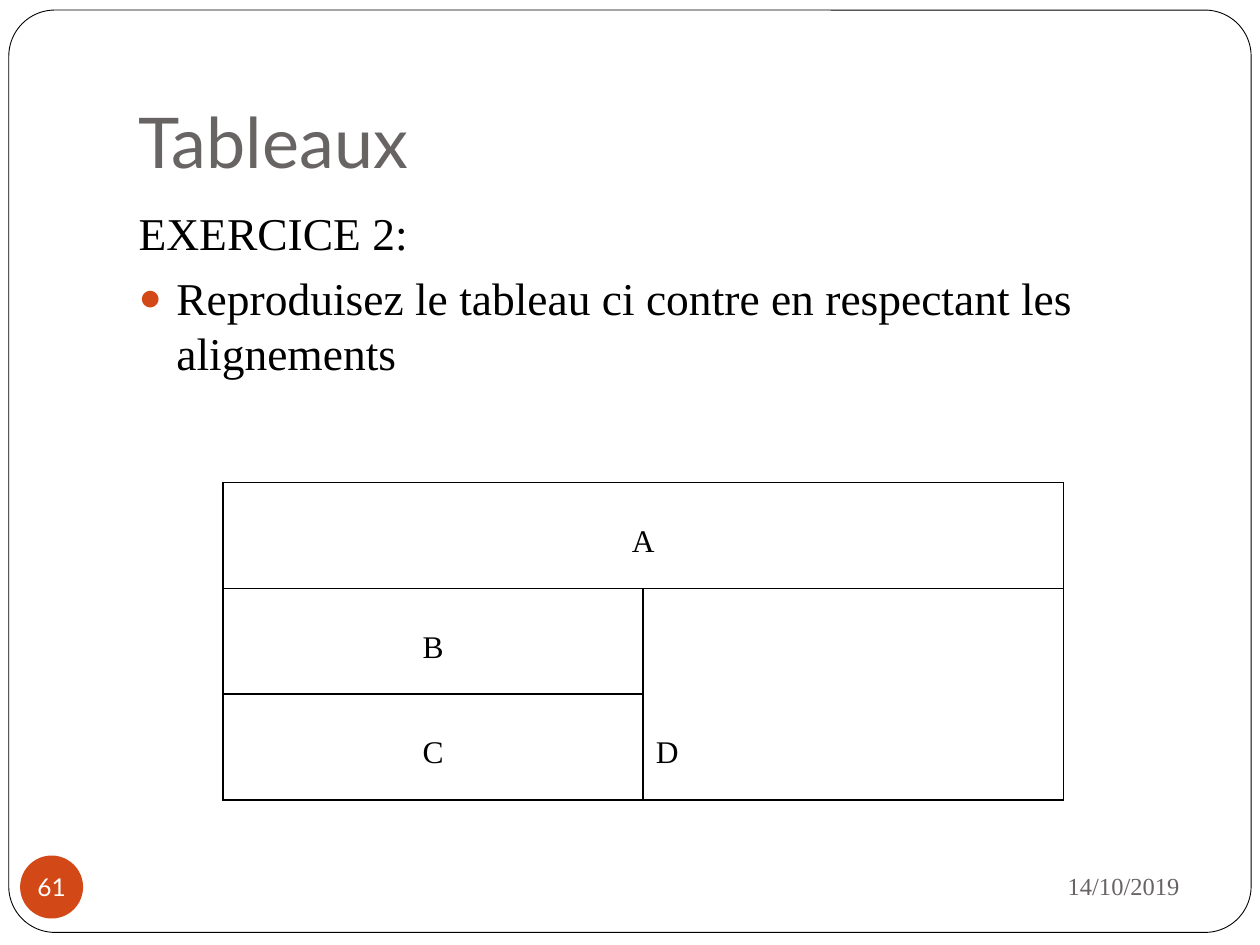
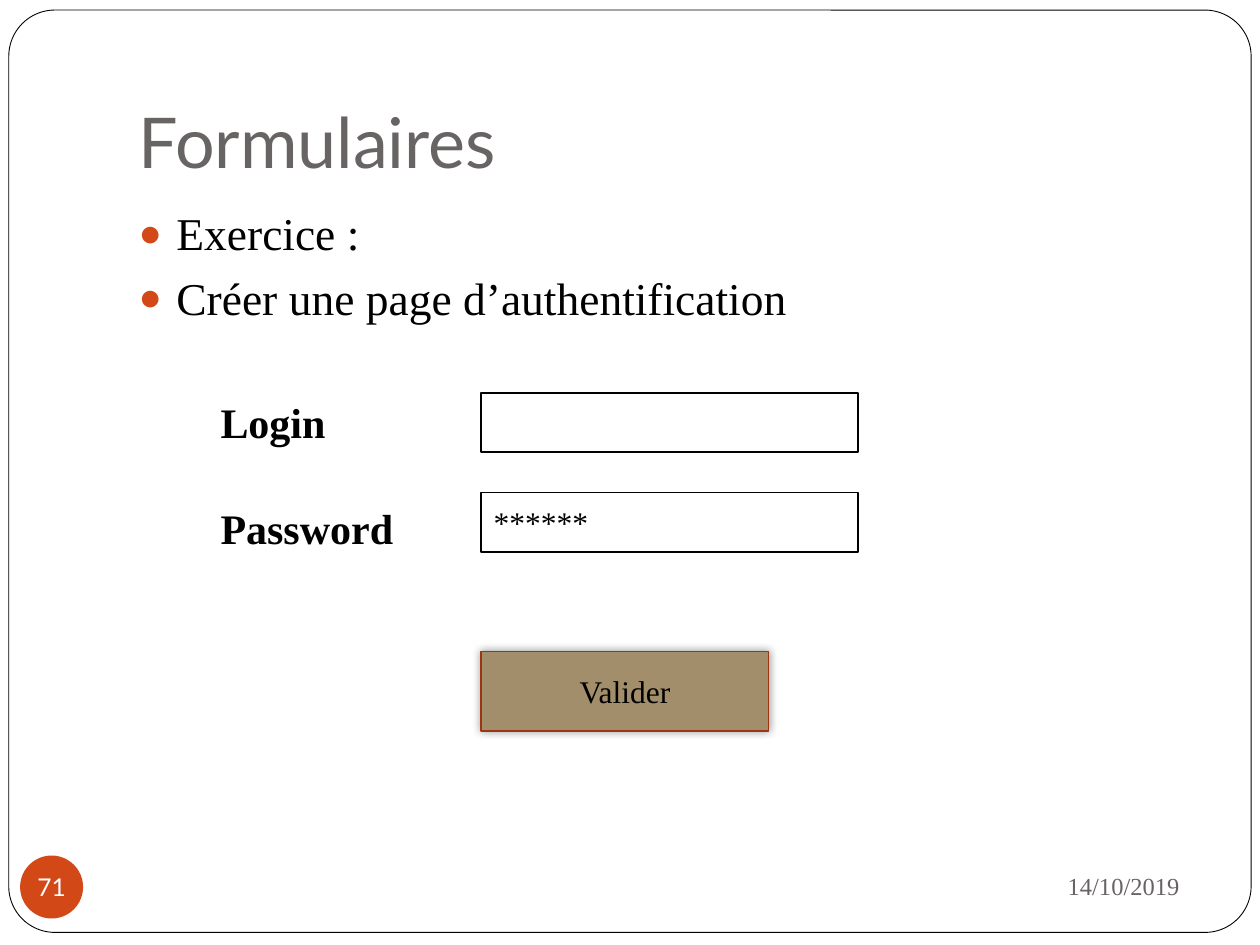
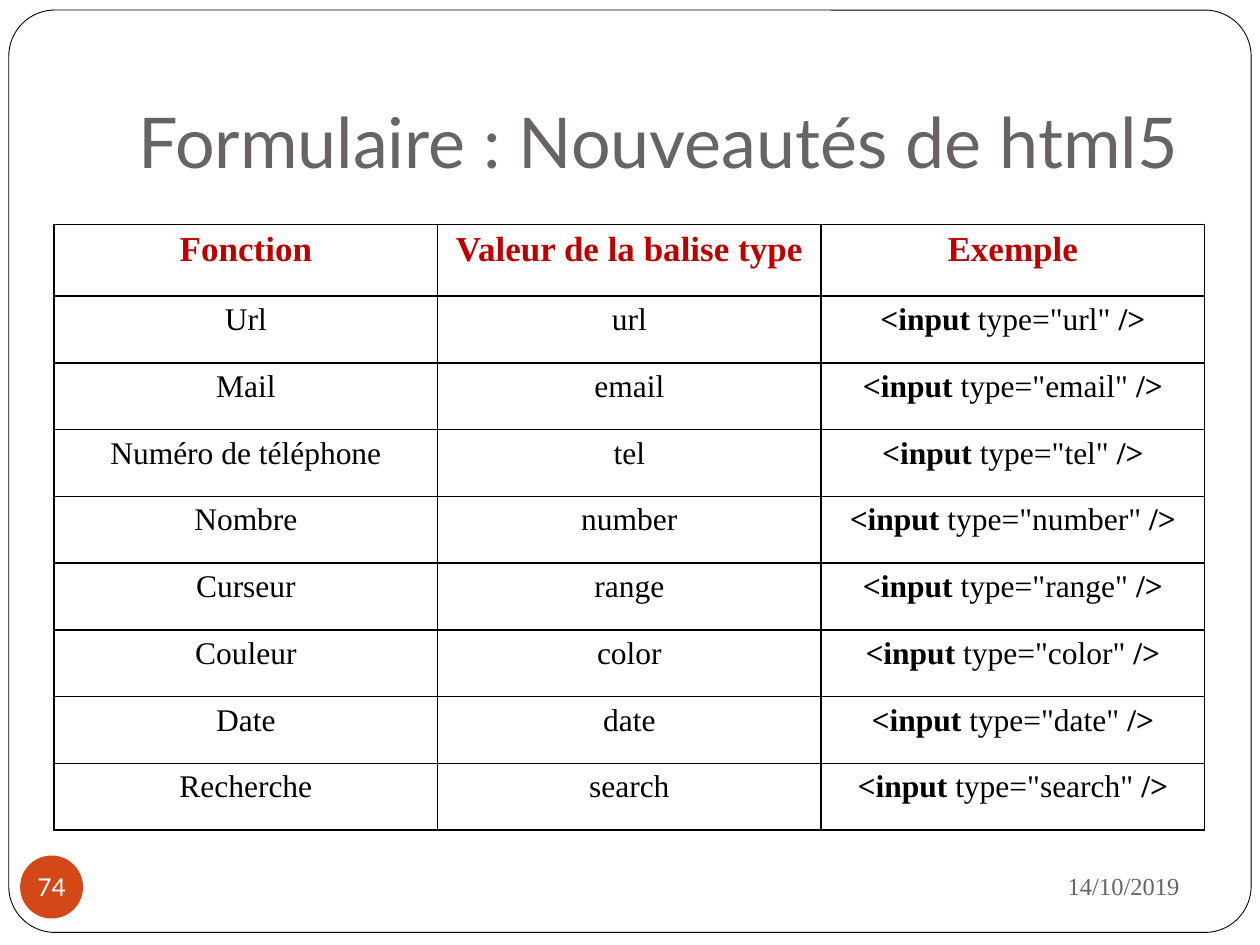
from dataclasses import dataclass

from lxml import etree
from pptx import Presentation
from pptx.dml.color import RGBColor
from pptx.enum.shapes import MSO_SHAPE
from pptx.enum.text import MSO_ANCHOR, MSO_AUTO_SIZE, PP_ALIGN
from pptx.oxml.ns import qn
from pptx.util import Inches, Pt

LEFT, CENTER, RIGHT = PP_ALIGN.LEFT, PP_ALIGN.CENTER, PP_ALIGN.RIGHT
TOP, MIDDLE, BOTTOM = MSO_ANCHOR.TOP, MSO_ANCHOR.MIDDLE, MSO_ANCHOR.BOTTOM
NO_AUTOFIT = MSO_AUTO_SIZE.NONE
RECTANGLE, ROUNDED, OVAL = MSO_SHAPE.RECTANGLE, MSO_SHAPE.ROUNDED_RECTANGLE, MSO_SHAPE.OVAL

HEADING_FONT, TEXT_FONT = "Lato", "Times New Roman"
BLACK, WHITE, GREY = "000000", "FFFFFF", "696464"
ORANGE, RUST, TAN, RED = "D34817", "9C3511", "A28E6A", "C00000"
DATE = "14/10/2019"
TITLE_AND_BODY, TITLE_ONLY = 1, 5
CELL_MARGIN, CELL_LINE = 0.05, 0.28


@dataclass
class Box:
    left: float
    top: float
    width: float
    height: float

    def emu(self) -> tuple:
        return tuple(Inches(v) for v in (self.left, self.top, self.width, self.height))


@dataclass
class BodyLine:
    text: str
    bullet: bool = True
    level: int = 0
    size: float = 26
    bold: bool = False
    before: float = 5.8
    margin: float = 0.3
    hanging: float = 0.3


@dataclass
class FormBox:
    place: Box
    text: str = ""
    fill: str | None = None
    line: str = BLACK
    align: int = LEFT


@dataclass
class MergedCell:
    text: str
    row: int
    column: int
    last_row: int
    last_column: int
    align: int = CENTER
    lines_above: int = 1


def colour(value: str) -> RGBColor:
    return RGBColor.from_string(value)


def add_text(paragraph, text: str, *, size: float = 18, font: str = TEXT_FONT,
             color: str = BLACK, bold: bool = False, align: int = LEFT) -> None:
    paragraph.alignment = align
    run = paragraph.add_run()
    run.text = text
    run.font.size = Pt(size)
    run.font.name = font
    run.font.bold = bold
    run.font.color.rgb = colour(color)


def add_xml(parent, tag: str, **attributes):
    return etree.SubElement(parent, qn(tag), {k: str(v) for k, v in attributes.items()})


def add_box(slide, kind: int, place: Box, fill: str | None = None,
            line: str | None = None, weight: float = 1):
    shape = slide.shapes.add_shape(kind, *place.emu())
    shape.shadow.inherit = False
    if fill:
        shape.fill.solid()
        shape.fill.fore_color.rgb = colour(fill)
    else:
        shape.fill.background()
    if line:
        shape.line.color.rgb = colour(line)
        shape.line.width = Pt(weight)
    else:
        shape.line.fill.background()
    shape.text_frame.vertical_anchor = MIDDLE
    return shape


def add_page(prs, layout: int, title: str, number: int):
    """Add a slide with its title, date and page number."""
    slide = prs.slides.add_slide(prs.slide_layouts[layout])
    heading = slide.shapes.title
    heading.left, heading.top, heading.width, heading.height = Box(1, 0.3, 8.5, 1.25).emu()
    frame = heading.text_frame
    frame.auto_size = NO_AUTOFIT
    frame.vertical_anchor = BOTTOM
    frame.margin_bottom = Inches(0.1)
    add_text(frame.paragraphs[0], title, size=40, font=HEADING_FONT, color=GREY)

    date = slide.shapes.add_textbox(*Box(6.75, 6.77, 2.71, 0.52).emu()).text_frame
    date.word_wrap = True
    date.vertical_anchor = MIDDLE
    add_text(date.paragraphs[0], DATE, size=14, color=GREY, align=RIGHT)

    badge = add_box(slide, OVAL, Box(0.16, 6.79, 0.5, 0.5), ORANGE).text_frame
    badge.word_wrap = False
    badge.margin_left = badge.margin_right = badge.margin_top = badge.margin_bottom = 0
    add_text(badge.paragraphs[0], str(number), size=14, font=HEADING_FONT,
             color=WHITE, align=CENTER)
    return slide


def add_master_frame(prs, slide) -> None:
    """Draw the rounded page frame and move it behind everything on the master."""
    frame = add_box(slide, ROUNDED, Box(0.07, 0.08, 9.86, 7.32), WHITE, BLACK, 0.5)
    frame.adjustments[0] = 0.05
    prs.slide_master.shapes.element.insert(2, frame.element)


def fill_body(slide, lines: list[BodyLine]) -> None:
    body = slide.placeholders[1]
    body.left, body.top, body.width, body.height = Box(1, 1.58, 8.5, 5).emu()
    frame = body.text_frame
    frame.auto_size = NO_AUTOFIT
    for index, line in enumerate(lines):
        paragraph = frame.add_paragraph() if index else frame.paragraphs[0]
        paragraph.level = line.level
        paragraph.space_before = Pt(line.before)
        add_text(paragraph, line.text, size=line.size, bold=line.bold)
        properties = paragraph._p.get_or_add_pPr()
        properties.set("marL", str(Inches(line.margin)))
        properties.set("indent", str(-Inches(line.hanging)))
        if line.bullet:
            add_xml(add_xml(properties, "a:buClr"), "a:srgbClr", val=ORANGE)
            add_xml(properties, "a:buSzPct", val=85000)
            add_xml(properties, "a:buChar", char="●")
        else:
            add_xml(properties, "a:buNone")


def add_form_box(slide, item: FormBox):
    shape = add_box(slide, RECTANGLE, item.place, item.fill, item.line)
    if item.text:
        add_text(shape.text_frame.paragraphs[0], item.text, align=item.align)
    return shape


def add_glow(shape) -> None:
    """Give the shape a soft shadow on all sides."""
    effects = shape.element.spPr.find(qn("a:effectLst"))
    shadow = add_xml(effects, "a:outerShdw", blurRad=Pt(5), dist=0, dir=0,
                     algn="ctr", rotWithShape=0)
    add_xml(add_xml(shadow, "a:srgbClr", val=BLACK), "a:alpha", val=40000)


def add_grid(slide, place: Box, heights: list[float], columns: int):
    """Add a plain table with equal columns and thin black borders."""
    table = slide.shapes.add_table(len(heights), columns, *place.emu()).table
    table.first_row = table.horz_banding = False
    for column in table.columns:
        column.width = Inches(place.width / columns)
    for row, height in zip(table.rows, heights):
        row.height = Inches(height)
    for cell in table.iter_cells():
        properties = cell._tc.get_or_add_tcPr()
        for side in ("a:lnL", "a:lnR", "a:lnT", "a:lnB"):
            border = add_xml(properties, side, w=Pt(1))
            add_xml(add_xml(border, "a:solidFill"), "a:srgbClr", val=BLACK)
        cell.fill.background()
        cell.vertical_anchor = TOP
    return table


def build_tables_exercise(prs):
    slide = add_page(prs, TITLE_AND_BODY, "Tableaux", 61)
    fill_body(slide, [
        BodyLine("EXERCICE 2:", bullet=False),
        BodyLine("Reproduisez le tableau ci contre en respectant les alignements"),
    ])
    table = add_grid(slide, Box(1.77, 3.83, 6.67, 2.52), [0.84] * 3, 2)
    for item in (
        MergedCell("A", 0, 0, 0, 1),
        MergedCell("B", 1, 0, 1, 0),
        MergedCell("C", 2, 0, 2, 0),
        MergedCell("D", 1, 1, 2, 1, LEFT, lines_above=4),
    ):
        cell = table.cell(item.row, item.column)
        last = table.cell(item.last_row, item.last_column)
        if (item.row, item.column) != (item.last_row, item.last_column):
            cell.merge(last)
        cell.margin_top = Inches(CELL_MARGIN + item.lines_above * CELL_LINE)
        add_text(cell.text_frame.paragraphs[0], item.text, align=item.align)
    return slide


def build_login_exercise(prs) -> None:
    slide = add_page(prs, TITLE_AND_BODY, "Formulaires", 71)
    label = {"bullet": False, "level": 1, "size": 24, "bold": True,
             "margin": 0.9, "hanging": 0.25}
    fill_body(slide, [
        BodyLine("Exercice :"),
        BodyLine("Créer une page d’authentification"),
        BodyLine("Login", before=41, **label),
        BodyLine("Password", before=32, **label),
    ])
    add_form_box(slide, FormBox(Box(3.82, 3.12, 2.99, 0.47)))
    add_form_box(slide, FormBox(Box(3.82, 3.91, 2.99, 0.47), "******"))
    submit = FormBox(Box(3.82, 5.17, 2.28, 0.63), "Valider", TAN, RUST, CENTER)
    add_glow(add_form_box(slide, submit))


def build_input_types(prs) -> None:
    slide = add_page(prs, TITLE_ONLY, "Formulaire : Nouveautés de html5", 74)
    headers = ("Fonction", "Valeur de la balise type", "Exemple")
    input_types = {
        "Url": "url",
        "Mail": "email",
        "Numéro de téléphone": "tel",
        "Nombre": "number",
        "Curseur": "range",
        "Couleur": "color",
        "Date": "date",
        "Recherche": "search",
    }
    heights = [0.57] + [0.53] * len(input_types)
    table = add_grid(slide, Box(0.43, 1.78, 9.13, sum(heights)), heights, len(headers))
    for column, header in enumerate(headers):
        add_text(table.cell(0, column).text_frame.paragraphs[0], header,
                 size=20, color=RED, bold=True, align=CENTER)
    for row, (purpose, value) in enumerate(input_types.items(), start=1):
        purpose_cell, value_cell, example_cell = (
            table.cell(row, column).text_frame.paragraphs[0] for column in range(3))
        add_text(purpose_cell, purpose, align=CENTER)
        add_text(value_cell, value, align=CENTER)
        add_text(example_cell, "<input ", bold=True, align=CENTER)
        add_text(example_cell, f'type="{value}" ', align=CENTER)
        add_text(example_cell, "/>", bold=True, align=CENTER)


def main() -> None:
    prs = Presentation()
    prs.slide_width, prs.slide_height = Inches(10), Inches(7.5)
    first_slide = build_tables_exercise(prs)
    add_master_frame(prs, first_slide)
    build_login_exercise(prs)
    build_input_types(prs)
    prs.save("out.pptx")


if __name__ == "__main__":
    main()
